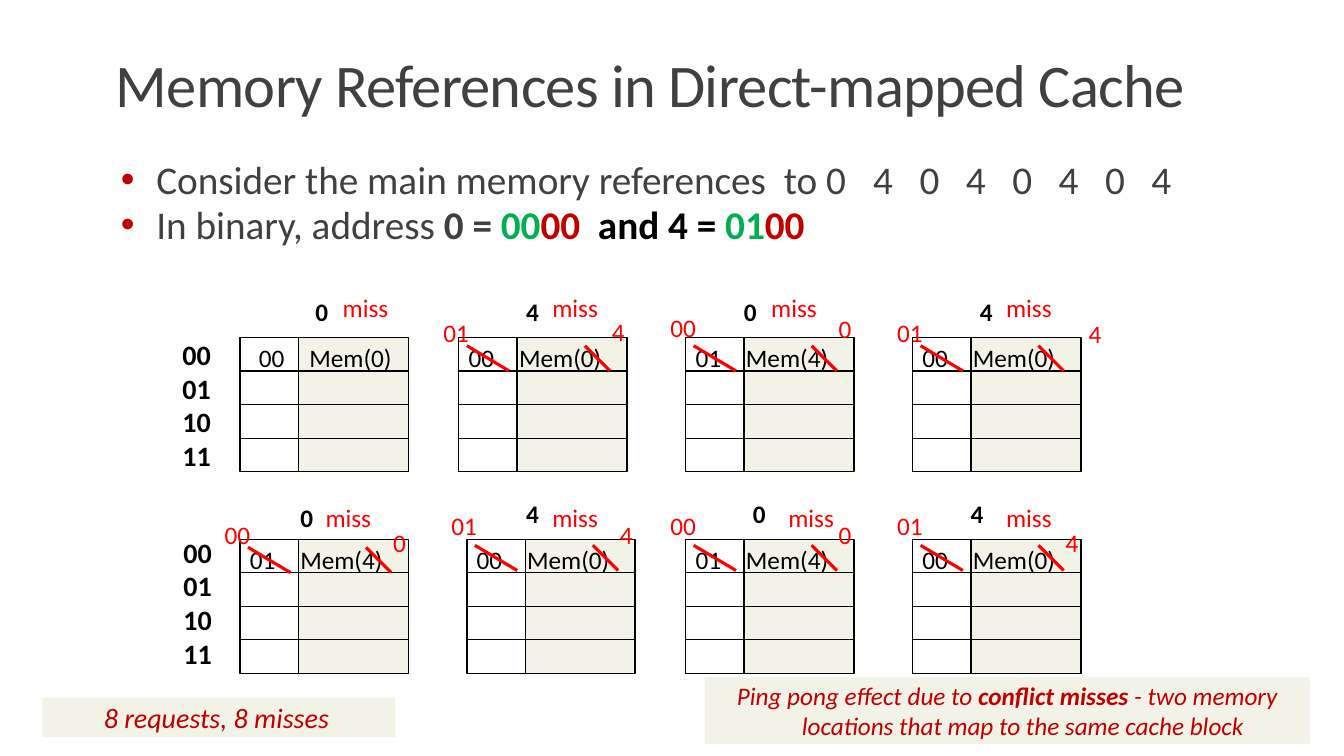
"""Build the slide on memory references in a direct-mapped cache."""
from collections import namedtuple
from dataclasses import dataclass

from lxml.etree import SubElement
from pptx import Presentation
from pptx.dml.color import RGBColor
from pptx.enum.shapes import MSO_CONNECTOR as LINE, MSO_SHAPE as SHAPE
from pptx.enum.text import MSO_ANCHOR as ANCHOR, MSO_AUTO_SIZE as FIT, PP_ALIGN as ALIGN
from pptx.oxml.ns import qn
from pptx.util import Inches, Pt


@dataclass(frozen=True)
class Theme:
    font: str = "Calibri"
    bullet_font: str = "Arial"
    ink: str = "000000"
    grey: str = "404040"
    dark_red: str = "C00000"
    red: str = "FF0000"
    green: str = "00B050"
    cream: str = "F3F2E6"
    title: float = 43.2
    body: float = 28
    index: float = 20
    label: float = 18
    grid: float = 1
    strike: float = 2.25


theme = Theme()
deck = Presentation()
deck.slide_width, deck.slide_height = Inches(13.33), Inches(7.5)
slide = deck.slides.add_slide(deck.slide_layouts[1])
shapes = slide.shapes


def write(text, frame=None, at=None, home=shapes, size=theme.label, color=theme.ink,
          bold=False, italic=False, align=ALIGN.LEFT, spacing=None, after=None,
          margin=0, indent=0, bullet=None, tabs=()):
    """Write lines of text, or lists of (text, changes) runs, in a frame or a new box."""
    if frame is None:
        frame = home.add_textbox(*map(Inches, at)).text_frame
        frame.word_wrap = bool(tabs)
    lines = [[(line, {})] for line in text.split("\n")] if isinstance(text, str) else text
    for number, runs in enumerate(lines):
        line = frame.add_paragraph() if number else frame.paragraphs[0]
        props = line._p.get_or_add_pPr()
        props.set("marL", str(Inches(margin)))
        props.set("indent", str(Inches(indent)))
        if bullet:
            tint = SubElement(props, qn("a:buClr"))
            SubElement(tint, qn("a:srgbClr"), val=theme.dark_red)
            SubElement(props, qn("a:buFont"), typeface=theme.bullet_font)
            SubElement(props, qn("a:buChar"), char=bullet)
        if tabs:
            stops = SubElement(props, qn("a:tabLst"))
            for stop in tabs:
                SubElement(stops, qn("a:tab"), pos=str(Inches(stop)), algn="l")
        line.alignment = align
        line.space_before = Pt(0)
        if spacing:
            line.line_spacing = spacing
        if after:
            line.space_after = Pt(after)
        for words, changes in runs:
            run = line.add_run()
            run.text = words
            font = run.font
            font.name, font.size = theme.font, Pt(size)
            font.bold, font.italic = changes.get("bold", bold), italic
            font.color.rgb = RGBColor.from_string(changes.get("color", color))


def rule(home, x1, y1, x2, y2, color=theme.ink, width=theme.grid):
    """Draw a straight line without a shadow."""
    line = home.add_connector(LINE.STRAIGHT, *map(Inches, (x1, y1, x2, y2)))
    line.line.color.rgb = RGBColor.from_string(color)
    line.line.width = Pt(width)
    SubElement(line._element.spPr, qn("a:effectLst"))
    return line


heading, references = shapes.title, slide.placeholders[1]
for holder, top, height in ((heading, 0.11, 1.13), (references, 1.54, 0.48)):
    holder.left, holder.top = Inches(1.05), Inches(top)
    holder.width, holder.height = Inches(11), Inches(height)
    holder.text_frame.auto_size = FIT.NONE
heading.text_frame.vertical_anchor = ANCHOR.BOTTOM
write("Memory References in Direct-mapped Cache", heading.text_frame,
      size=theme.title, color=theme.grey, spacing=0.85)
for run in heading.text_frame.paragraphs[0].runs:
    run._r.get_or_add_rPr().set("spc", "-50")

references.text_frame.margin_left = references.text_frame.margin_right = 0
write([[("Consider the main memory references  to 0\t4\t0\t4\t0\t4\t0\t4", {})],
       [("In binary, address ", {}),
        ("0 = ", {"bold": True}),
        ("00", {"bold": True, "color": theme.green}),
        ("00 ", {"bold": True, "color": theme.dark_red}),
        (" and 4 = ", {"bold": True, "color": theme.ink}),
        ("01", {"bold": True, "color": theme.green}),
        ("00", {"bold": True, "color": theme.dark_red})]],
      references.text_frame, size=theme.body, color=theme.grey, spacing=0.9, after=2,
      margin=0.5, indent=-0.35, bullet="•", tabs=[7.61 + 0.46 * n for n in range(7)])

TAG_WIDTH, DATA_WIDTH, CACHE_HEIGHT, BLOCKS = 0.58, 1.09, 1.33, 4
Cache = namedtuple("Cache", "left top ref ref_x ref_y miss_x entry old new marks")
Marks = namedtuple("Marks", "tag_y data_x data_y strike_y")
caches = [
    Cache(2.38, 3.35, "0", 3.03, 2.89, 3.3, 2.47, "00\tMem(0)", None, None),
    Cache(4.55, 3.35, "4", 5.12, 2.89, 5.38, 4.55, "00\tMem(0)", "01", Marks(3.1, 5.97, 3.09, 3.43)),
    Cache(6.8, 3.35, "0", 7.28, 2.89, 7.55, 6.8, "01\tMem(4)", "00", Marks(3.05, 8.22, 3.06, 3.43)),
    Cache(9.05, 3.35, "4", 9.62, 2.89, 9.88, 9.05, "00\tMem(0)", "01", Marks(3.1, 10.7, 3.11, 3.43)),
    Cache(2.38, 5.35, "0", 2.88, 4.93, 3.13, 2.38, "01\tMem(4)", "00", Marks(5.1, 3.8, 5.18, 5.43)),
    Cache(4.63, 5.35, "4", 5.12, 4.89, 5.38, 4.63, "00\tMem(0)", "01", Marks(5.01, 6.05, 5.1, 5.41)),
    Cache(6.8, 5.35, "0", 7.37, 4.89, 7.72, 6.8, "01\tMem(4)", "00", Marks(5.01, 8.22, 5.1, 5.41)),
    Cache(9.05, 5.35, "4", 9.53, 4.89, 9.88, 9.05, "00\tMem(0)", "01", Marks(5.01, 10.47, 5.18, 5.41)),
]
for cache in caches:
    columns = ((cache.left, TAG_WIDTH, None),
               (cache.left + TAG_WIDTH, DATA_WIDTH, theme.cream))
    for left, width, fill in columns:
        column = shapes.add_shape(SHAPE.RECTANGLE, *map(Inches, (left, cache.top, width, CACHE_HEIGHT)))
        column.shadow.inherit = False
        column.line.color.rgb = RGBColor.from_string(theme.ink)
        column.line.width = Pt(theme.grid)
        if fill:
            column.fill.solid()
            column.fill.fore_color.rgb = RGBColor.from_string(fill)
        else:
            column.fill.background()
        for block in range(1, BLOCKS):
            y = cache.top + CACHE_HEIGHT * block / BLOCKS
            divider = rule(shapes, left, y, left + width, y)
            if block == BLOCKS / 2:
                divider.begin_connect(column, 1)
                divider.end_connect(column, 3)

    miss_y = 2.85 if cache.top == 3.35 else 4.93
    write(cache.ref, at=(cache.ref_x, cache.ref_y, 0.34, 0.4), bold=True)
    write("miss", at=(cache.miss_x, miss_y, 0.68, 0.4), color=theme.red)
    write(cache.old, at=(cache.entry, cache.top, 1.65, 0.4), tabs=[0.48])
    if cache.marks:
        marks = cache.marks
        update = shapes.add_group_shape().shapes
        for start, end in ((0.08, 0.5), (1.25, 1.5)):
            rule(update, cache.left + start, marks.strike_y, cache.left + end, marks.strike_y + 0.25,
                 color=theme.red, width=theme.strike)
        write(cache.new, at=(cache.left - 0.25, marks.tag_y, 0.46, 0.4), home=update, color=theme.red)
        write(cache.ref, at=(marks.data_x, marks.data_y, 0.34, 0.4), home=update, color=theme.red)

for left, top in ((1.71, 3.3), (1.72, 5.26)):
    write("00\n01\n10\n11", at=(left, top, 0.49, 1.45), size=theme.index, bold=True)

conflict = [[("Ping pong effect due to ", {}), ("conflict misses", {"bold": True}),
             (" - two memory locations that map to the same cache block", {})]]
captions = (
    ((6.99, 6.72, 6, 0.66), conflict,
     dict(size=theme.label, align=ALIGN.CENTER, margin=0.31, indent=-0.31)),
    ((0.42, 6.92, 3.5, 0.39), "8 requests, 8 misses",
     dict(size=theme.index, margin=0.81, indent=-0.27)),
)
for at, text, look in captions:
    caption = shapes.add_shape(SHAPE.RECTANGLE, *map(Inches, at))
    caption.shadow.inherit = False
    caption.fill.solid()
    caption.fill.fore_color.rgb = RGBColor.from_string(theme.cream)
    caption.line.fill.background()
    frame = caption.text_frame
    frame.word_wrap, frame.vertical_anchor = True, ANCHOR.TOP
    frame.margin_left = frame.margin_right = Inches(0.07)
    frame.margin_top = frame.margin_bottom = Inches(0.03)
    write(text, frame, color=theme.dark_red, italic=True, **look)

deck.save("out.pptx")
